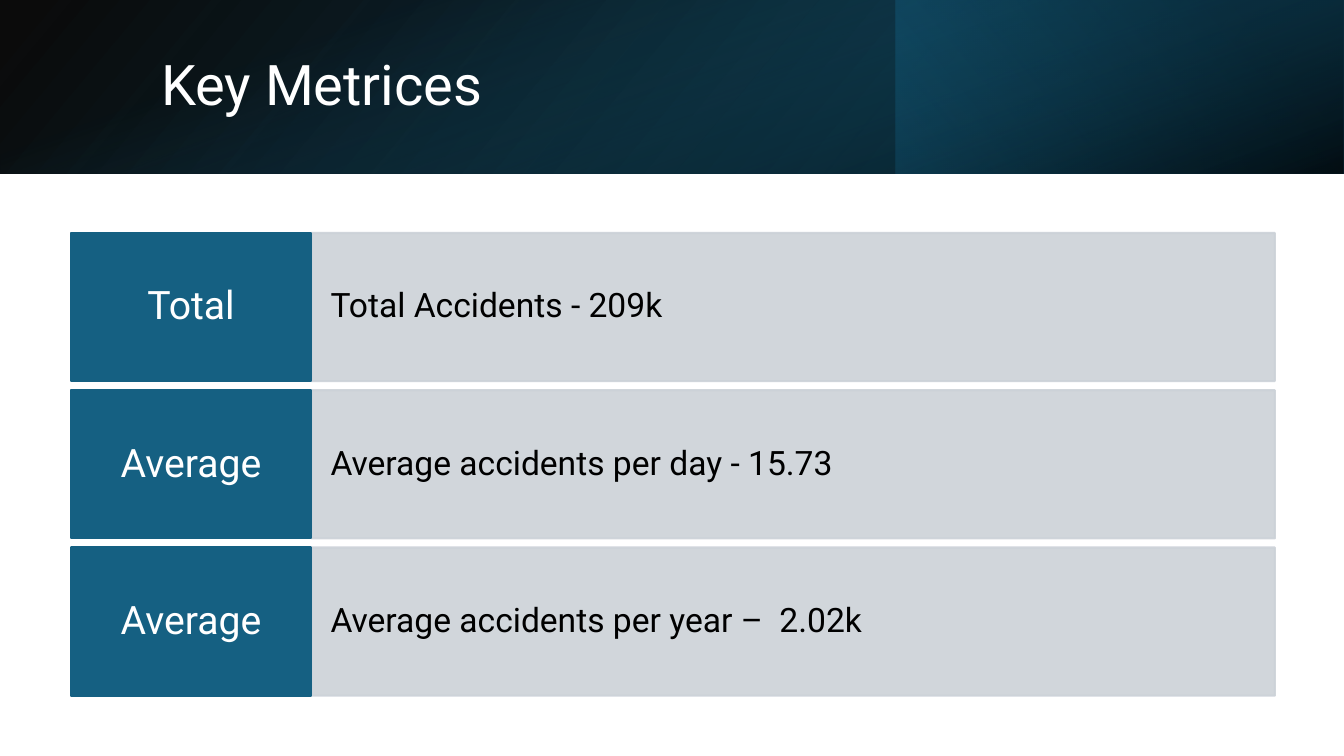
from pptx import Presentation
from pptx.dml.color import RGBColor
from pptx.enum.shapes import MSO_SHAPE
from pptx.enum.text import MSO_ANCHOR, PP_ALIGN
from pptx.oxml import parse_xml
from pptx.oxml.ns import nsdecls, qn
from pptx.util import Cm, Pt

SLIDE_WIDTH, SLIDE_HEIGHT = Cm(33.87), Cm(19.05)
BLUE, GREY, WHITE, BLACK = "156082", "CCD2D8", "FFFFFF", "000000"
METRICS = [
    ("Total", "Total Accidents - 209k"),
    ("Average", "Average accidents per day - 15.73"),
    ("Average", "Average accidents per year –  2.02k"),
]
LABEL = {"size": 28, "color": WHITE, "align": PP_ALIGN.CENTER,
         "inset_x": Cm(0.33), "inset_y": Cm(0.38)}
DETAIL = {"size": 24, "color": BLACK, "align": PP_ALIGN.LEFT,
          "inset_x": Cm(0.48), "inset_y": Cm(0.94)}


def rgb(code):
    return RGBColor.from_string(code)


def add_rectangle(shapes, left, top, width, height):
    rectangle = shapes.add_shape(MSO_SHAPE.RECTANGLE, left, top, width, height)
    rectangle.shadow.inherit = False
    return rectangle


def set_gradient(shape, stops, angle):
    """Fill with stops of (position %, colour, opacity %) at a clockwise angle."""
    stop_xml = "".join(
        f'<a:gs pos="{position * 1000}"><a:srgbClr val="{color}">'
        f'<a:alpha val="{opacity * 1000}"/></a:srgbClr></a:gs>'
        for position, color, opacity in stops)
    gradient = parse_xml(
        f'<a:gradFill {nsdecls("a")} rotWithShape="1"><a:gsLst>{stop_xml}</a:gsLst>'
        f'<a:lin ang="{angle * 60000}" scaled="0"/></a:gradFill>')
    shape.element.spPr.find(qn("a:prstGeom")).addnext(gradient)
    shape.line.fill.background()


def set_opacity(shape, percent):
    for color in shape.element.spPr.iter(qn("a:srgbClr")):
        color.append(parse_xml(f'<a:alpha {nsdecls("a")} val="{percent * 1000}"/>'))


def write_text(shape, text, style):
    frame = shape.text_frame
    frame_format = {
        "word_wrap": True, "vertical_anchor": MSO_ANCHOR.MIDDLE,
        "margin_left": style["inset_x"], "margin_right": style["inset_x"],
        "margin_top": style["inset_y"], "margin_bottom": style["inset_y"],
    }
    for name, value in frame_format.items():
        setattr(frame, name, value)
    frame.text = text
    paragraph = frame.paragraphs[0]
    paragraph.alignment = style["align"]
    paragraph.line_spacing = 0.9
    font = paragraph.runs[0].font
    for name, value in {"name": "Roboto", "size": Pt(style["size"])}.items():
        setattr(font, name, value)
    font.color.rgb = rgb(style["color"])


def add_header(slide, left, top, width, height):
    base = add_rectangle(slide.shapes, left, top, width, height)
    base.element.spPr.find(qn("a:xfrm")).set("flipH", "1")
    set_gradient(base, [(0, BLACK, 96), (100, "104862", 100)], 140)

    right_third = add_rectangle(
        slide.shapes, left + width * 2 // 3, top, width // 3, height)
    right_third.rotation = 180
    set_gradient(right_third, [(19, "0B3041", 68), (100, BLUE, 79)], 320)

    offset = (width - height) // 2
    shade = add_rectangle(slide.shapes, left + offset, top - offset, height, width)
    shade.rotation = 90
    set_gradient(shade, [(23, BLUE, 0), (99, BLACK, 74)], 340)

    title = slide.shapes.title
    place = {"left": left + Cm(3.81), "top": top + Cm(0.97),
             "width": Cm(27.89), "height": Cm(2.44)}
    for name, value in place.items():
        setattr(title, name, value)
    write_text(title, "Key Metrices", {
        "size": 40, "color": WHITE, "align": PP_ALIGN.LEFT,
        "inset_x": Cm(0.25), "inset_y": Cm(0.13)})
    shade.element.addnext(title.element)


def add_block(shapes, box, color, opacity, text, style):
    block = add_rectangle(shapes, *box)
    block.fill.solid()
    block.fill.fore_color.rgb = rgb(color)
    block.line.color.rgb = rgb(color)
    block.line.width = Pt(1.5)
    set_opacity(block, opacity)
    write_text(block, text, style)


def add_metrics(slide, left, top, width, height):
    label_width, gap = Cm(6.07), Cm(0.23)
    row_height = (height - gap * (len(METRICS) - 1)) // len(METRICS)
    rows = slide.shapes.add_group_shape().shapes
    for index, (label, detail) in enumerate(METRICS):
        row_top = top + index * (row_height + gap)
        detail_box = (left + label_width, row_top, width - label_width, row_height)
        add_block(rows, detail_box, GREY, 90, detail, DETAIL)
        label_box = (left, row_top, label_width, row_height)
        add_block(rows, label_box, BLUE, 100, label, LABEL)


def main():
    presentation = Presentation()
    presentation.slide_width, presentation.slide_height = SLIDE_WIDTH, SLIDE_HEIGHT
    slide = presentation.slides.add_slide(presentation.slide_layouts[5])
    add_header(slide, 0, 0, SLIDE_WIDTH, Cm(4.37))
    add_metrics(slide, Cm(1.78), Cm(5.87), Cm(30.35), Cm(11.66))
    presentation.save("out.pptx")


if __name__ == "__main__":
    main()
